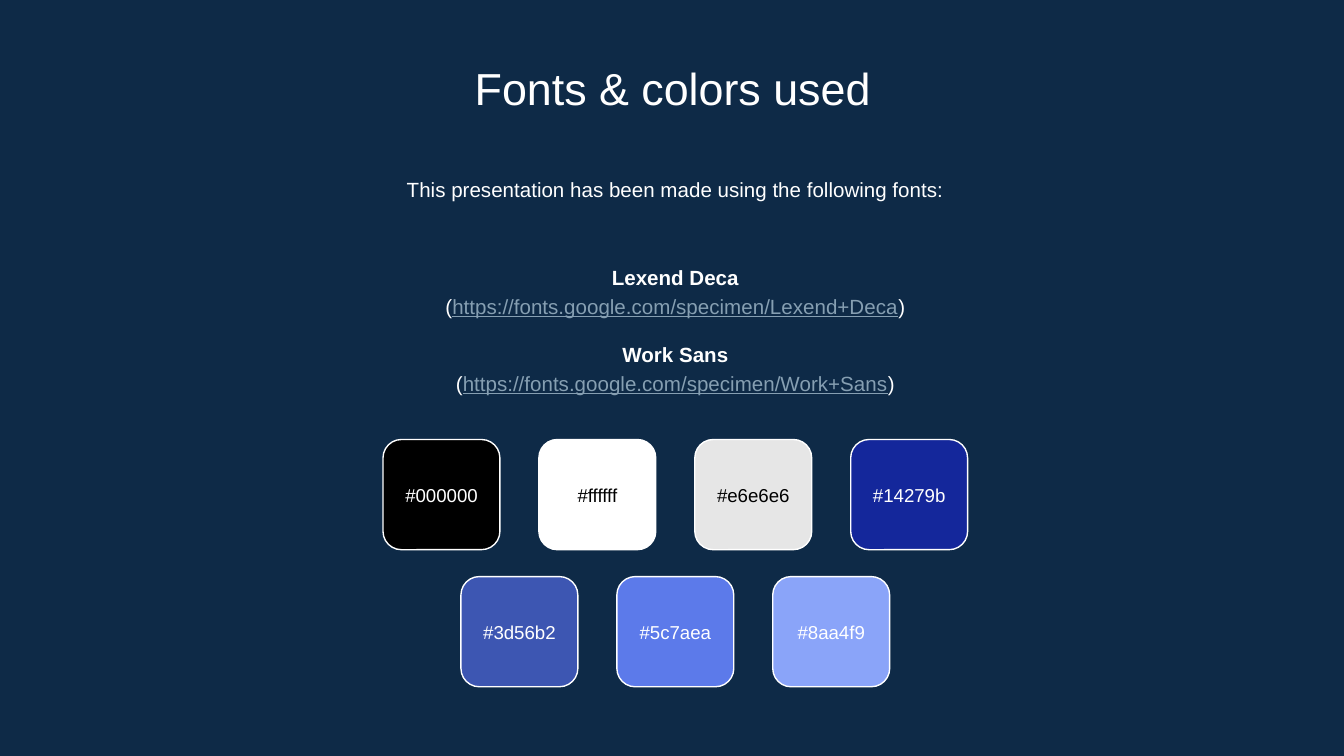
from pptx import Presentation
from pptx.dml.color import RGBColor
from pptx.enum.shapes import MSO_SHAPE
from pptx.enum.text import MSO_ANCHOR, PP_ALIGN
from pptx.util import Inches, Pt

ROUNDED = MSO_SHAPE.ROUNDED_RECTANGLE
CENTER = PP_ALIGN.CENTER
TOP, MIDDLE = MSO_ANCHOR.TOP, MSO_ANCHOR.MIDDLE

FONT = "Arial"
COLORS = {"background": "0E2A47", "white": "FFFFFF", "black": "000000", "link": "869FB2"}

FONT_SOURCES = [
    ("Lexend Deca", "https://fonts.google.com/specimen/Lexend+Deca"),
    ("Work Sans", "https://fonts.google.com/specimen/Work+Sans"),
]

# Each row: left edge, top edge, swatch labels
SWATCH_ROWS = [
    (2.85, 3.27, ["#000000", "#ffffff", "#e6e6e6", "#14279b"]),
    (3.43, 4.29, ["#3d56b2", "#5c7aea", "#8aa4f9"]),
]
SWATCH_WIDTH, SWATCH_HEIGHT, SWATCH_STEP = 0.87, 0.82, 1.16
LABEL_HEIGHT = 0.48
DARK_LABELS = {"#ffffff", "#e6e6e6"}


def rgb(value):
    return RGBColor.from_string(value.upper())


def style_paragraph(para, size, color="white", bold=False, spacing=None):
    para.alignment = CENTER
    para.line_spacing = spacing
    para.font.name = FONT
    para.font.size = Pt(size)
    para.font.bold = bold
    para.font.color.rgb = rgb(COLORS[color])


def add_text_box(page, left, top, width, height, anchor=TOP):
    box = page.shapes.add_textbox(Inches(left), Inches(top), Inches(width), Inches(height))
    frame = box.text_frame
    frame.margin_left = frame.margin_right = Inches(0.1)
    frame.margin_top = frame.margin_bottom = Inches(0.1)
    frame.word_wrap = True
    frame.vertical_anchor = anchor
    return frame


def add_line(page, text, bounds, size, color="white", spacing=None, anchor=TOP):
    para = add_text_box(page, *bounds, anchor).paragraphs[0]
    para.text = text
    style_paragraph(para, size, color, spacing=spacing)


def add_font_sources(page):
    frame = add_text_box(page, 1.17, 1.76, 7.71, 1.37, MIDDLE)
    for index, (name, address) in enumerate(FONT_SOURCES):
        heading = frame.add_paragraph() if index else frame.paragraphs[0]
        heading.text = name
        style_paragraph(heading, 11, bold=True, spacing=1.15)
        if index:
            heading.space_before = Pt(11)

        source = frame.add_paragraph()
        style_paragraph(source, 11, spacing=1.15)
        for text in ("(", address, ")"):
            span = source.add_run()
            span.text = text
            if text == address:
                span.font.underline = True
                span.font.color.rgb = rgb(COLORS["link"])


def add_swatch(page, label, left, top):
    swatch = page.shapes.add_shape(
        ROUNDED, Inches(left), Inches(top), Inches(SWATCH_WIDTH), Inches(SWATCH_HEIGHT))
    swatch.shadow.inherit = False
    swatch.fill.solid()
    swatch.fill.fore_color.rgb = rgb(label[1:])
    swatch.line.color.rgb = rgb(COLORS["white"])
    swatch.line.width = Pt(0.75)

    label_top = top + (SWATCH_HEIGHT - LABEL_HEIGHT) / 2
    color = "black" if label in DARK_LABELS else "white"
    add_line(page, label, (left, label_top, SWATCH_WIDTH, LABEL_HEIGHT), 10, color,
             anchor=MIDDLE)


def main():
    # Widescreen page, 16:9
    deck = Presentation()
    deck.slide_width = Inches(10)
    deck.slide_height = Inches(10) * 9 // 16
    page = deck.slides.add_slide(deck.slide_layouts[6])
    page.background.fill.solid()
    page.background.fill.fore_color.rgb = rgb(COLORS["background"])

    # Title and introduction
    add_line(page, "Fonts & colors used", (1.15, 0.35, 7.71, 0.53), 24)
    add_line(page, "This presentation has been made using the following fonts:",
             (1.17, 1.19, 7.71, 0.48), 11, spacing=1.15)

    # Font names with their addresses
    add_font_sources(page)

    # Colour swatches
    for left, top, labels in SWATCH_ROWS:
        for column, label in enumerate(labels):
            add_swatch(page, label, left + column * SWATCH_STEP, top)

    deck.save("out.pptx")


if __name__ == "__main__":
    main()
